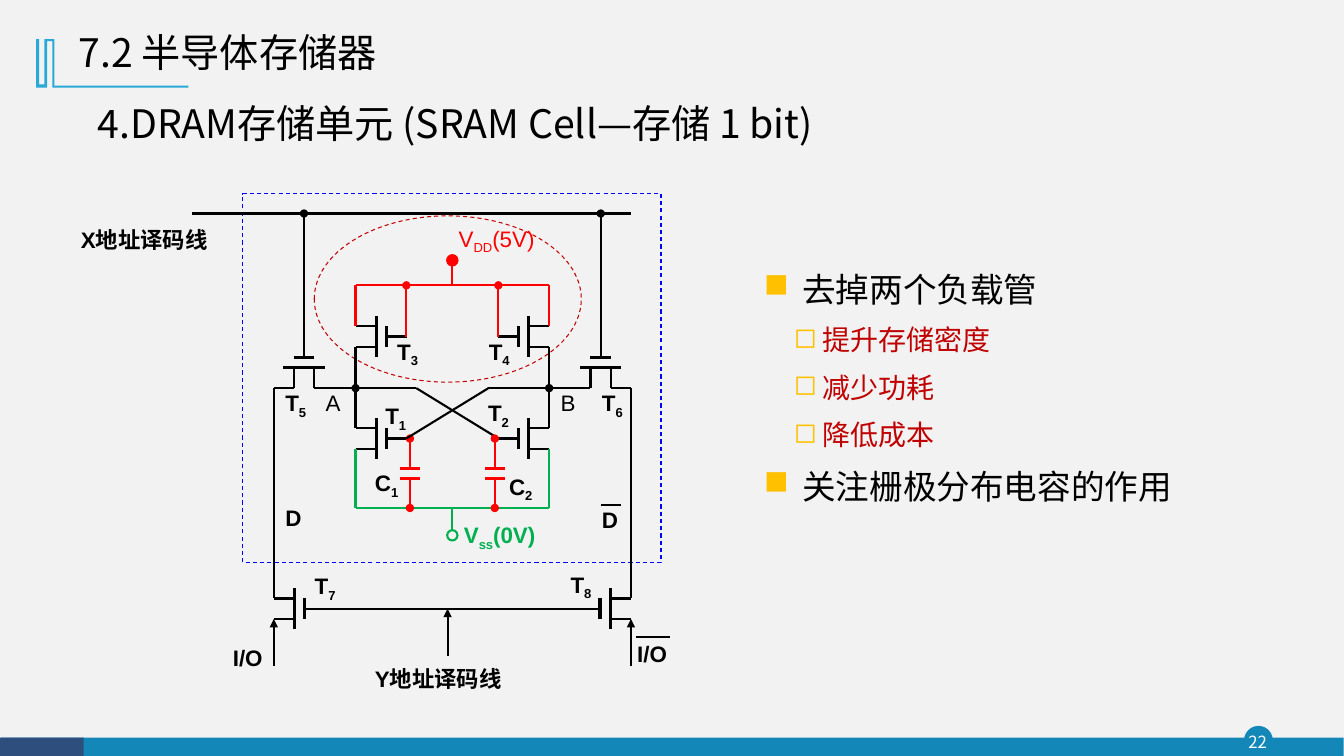
from dataclasses import dataclass

from lxml.etree import SubElement
from pptx import Presentation
from pptx.dml.color import RGBColor
from pptx.enum.dml import MSO_LINE
from pptx.enum.shapes import MSO_CONNECTOR, MSO_SHAPE
from pptx.enum.text import MSO_ANCHOR, PP_ALIGN
from pptx.oxml.ns import qn
from pptx.util import Cm, Pt


@dataclass(frozen=True)
class Theme:
    """Colours, fonts and sizes of the slide."""
    page: str = "F2F2F2"
    bar: str = "1387B7"
    navy: str = "2E4E7E"
    accent: str = "28A9D6"
    black: str = "000000"
    white: str = "FFFFFF"
    blue: str = "0000FF"
    red: str = "FF0000"
    dark_red: str = "C00000"
    green: str = "00B050"
    amber: str = "FFC000"
    latin: str = "Arial"
    cjk: str = "Noto Sans CJK SC"
    cjk_alt: str = "Noto Sans CJK JP"
    title: int = 28
    body: int = 24
    sub: int = 20
    label: int = 16
    number: int = 12
    thin: float = 0.75
    wire: float = 1.5
    plate: float = 2.25


T = Theme()
MID, INNER, OUTER, PASS, GATE, CAP, CROSS = 11.4, 2.44, 4.5, 3.74, 1.16, 1.07, 0.91
X_LINE, VDD, LOAD, NODE, DRIVE, VSS, Y_LINE = 5.38, 7.19, 8.48, 9.78, 11.05, 12.8, 15.34
STEP = 0.26
LABELS = [
    ("T", "1", 9.68, 10.11), ("T", "2", 12.27, 10.03), ("T", "3", 9.98, 8.48),
    ("T", "4", 12.29, 8.48), ("T", "5", 7.16, 9.78), ("T", "6", 15.14, 9.78),
    ("T", "7", 7.9, 14.4), ("T", "8", 14.35, 14.35), ("C", "1", 9.42, 11.79),
    ("C", "2", 12.8, 11.89), ("D", "", 7.16, 12.67), ("D", "", 15.14, 12.73),
    ("I/O", "", 5.84, 16.21), ("I/O", "", 16.03, 16.1),
    ("X地址译码线", "", 2.01, 5.66), ("Y地址译码线", "", 9.42, 16.74),
]


def rgb(value):
    """Turn a hex string into a colour."""
    return RGBColor.from_string(value)


def paint(sp, fill=None, line=None, width=T.wire, dash=None):
    """Set fill and outline of a shape."""
    sp.shadow.inherit = False
    if fill:
        sp.fill.solid()
        sp.fill.fore_color.rgb = rgb(fill)
    else:
        sp.fill.background()
    if line:
        sp.line.color.rgb = rgb(line)
        sp.line.width = Pt(width)
        sp.line.dash_style = dash
    else:
        sp.line.fill.background()


def add_box(s, kind, x, y, w, h, **style):
    """Add a preset shape."""
    paint(s.shapes.add_shape(kind, Cm(x), Cm(y), Cm(w), Cm(h)), **style)


def add_wire(s, x1, y1, x2, y2, color=T.black, width=T.wire, head=None, tail=None):
    """Add a straight line with optional end marks."""
    c = s.shapes.add_connector(MSO_CONNECTOR.STRAIGHT, Cm(x1), Cm(y1), Cm(x2), Cm(y2))
    c.line.color.rgb = rgb(color)
    c.line.width = Pt(width)
    ln = c.line._get_or_add_ln()
    for tag, mark in (("a:headEnd", head), ("a:tailEnd", tail)):
        if mark:
            SubElement(ln, qn(tag), type=mark)
    SubElement(c._element.spPr, qn("a:effectLst"))


def add_run(p, text, size, color=T.black, font=T.latin, ea=T.cjk, bold=False, base=0):
    """Add a formatted run."""
    r = p.add_run()
    r.text = text
    r.font.color.rgb = rgb(color)
    for name, value in {"size": Pt(size), "bold": bold, "name": font}.items():
        setattr(r.font, name, value)
    rPr = r._r.get_or_add_rPr()
    SubElement(rPr, qn("a:ea"), typeface=ea)
    if base:
        rPr.set("baseline", str(base * 1000))


def add_text(s, x, y, w, h, inset=None, **frame):
    """Add a text box and return its frame."""
    tf = s.shapes.add_textbox(Cm(x), Cm(y), Cm(w), Cm(h)).text_frame
    for name, value in {"word_wrap": True, **frame}.items():
        setattr(tf, name, value)
    if inset is not None:
        for side in ("left", "top", "right", "bottom"):
            setattr(tf, f"margin_{side}", Cm(inset))
    return tf


def add_label(s, text, sub, x, y, end="", color=T.black, bold=True):
    """Add a circuit label with an optional subscript."""
    width = 4.11 if len(text) > 3 else 2.44 if end else 1.25
    p = add_text(s, x, y, width, 1.02, inset=0.03).paragraphs[0]
    p.alignment = PP_ALIGN.JUSTIFY
    for part, base in ((text, 0), (sub, -25), (end, 0)):
        if part:
            add_run(p, part, T.label, color, bold=bold, base=base)


def add_bullet(p, text, char, indent, hang, size, color):
    """Fill a paragraph of the bulleted list."""
    p.line_spacing = 1.2
    pPr = p._p.get_or_add_pPr()
    for name, value in {"marL": Cm(indent), "indent": Cm(-hang)}.items():
        pPr.set(name, str(value))
    SubElement(SubElement(pPr, qn("a:buClr")), qn("a:srgbClr"), val=T.amber)
    SubElement(pPr, qn("a:buChar"), char=char)
    add_run(p, text, size, color)


def add_transistor(s, x, y, way):
    """Add a transistor with terminals at x and its gate towards way."""
    bar, plate, end = (x + way * k * STEP for k in (2, 3, 5))
    add_wire(s, bar, y - 2 * STEP, bar, y + 2 * STEP, width=T.plate)
    add_wire(s, plate, y - STEP, plate, y + STEP, width=T.plate)
    for level in (y - STEP, y + STEP):
        add_wire(s, x, level, bar, level)
    add_wire(s, plate, y, end, y)


def add_pass_transistor(s, x):
    """Add a transistor whose gate hangs from the X line."""
    bar, plate = NODE - 2 * STEP, NODE - 3 * STEP
    add_wire(s, x - 2 * STEP, bar, x + 2 * STEP, bar, width=T.plate)
    add_wire(s, x - STEP, plate, x + STEP, plate, width=T.plate)
    for leg in (x - STEP, x + STEP):
        add_wire(s, leg, bar, leg, NODE)
    add_wire(s, x, X_LINE, x, plate, head="oval")


def add_capacitor(s, x):
    """Add a gate capacitor down to the VSS rail."""
    for y in (11.8, 12.05):
        add_wire(s, x - STEP, y, x + STEP, y, T.red, T.plate)
    add_wire(s, x, DRIVE, x, 11.8, T.red, head="oval")
    add_wire(s, x, 12.05, x, VSS, T.red, tail="oval")


def add_half_cell(s, way):
    """Add one half of the cell; way points to the centre."""
    inner, outer, access, gate, cap, cross = (
        MID - way * d for d in (INNER, OUTER, PASS, GATE, CAP, CROSS))
    for y in (LOAD, DRIVE):
        add_transistor(s, inner, y, way)
    add_transistor(s, outer, Y_LINE, way)
    add_pass_transistor(s, access)
    add_capacitor(s, cap)
    add_wire(s, inner, VDD, inner, LOAD - STEP, T.red)
    add_wire(s, gate, VDD, gate, LOAD, T.red, head="oval")
    add_wire(s, inner, LOAD + STEP, inner, DRIVE - STEP)
    add_wire(s, inner, DRIVE + STEP, inner, VSS, T.green)
    add_wire(s, inner, NODE, access + way * STEP, NODE, head="oval")
    add_wire(s, inner, NODE, cross, NODE)
    add_wire(s, cross, NODE, MID + way * GATE, DRIVE)
    add_wire(s, access - way * STEP, NODE, outer, NODE)
    add_wire(s, outer, NODE, outer, Y_LINE - STEP)
    add_wire(s, outer, Y_LINE + STEP, outer, 16.79, head="triangle")


def add_circuit(s):
    """Add the whole memory cell diagram."""
    add_box(s, MSO_SHAPE.RECTANGLE, 6.12, 4.88, 10.54, 9.3,
            line=T.blue, width=T.thin, dash=MSO_LINE.DASH)
    add_box(s, MSO_SHAPE.OVAL, 7.92, 5.44, 6.73, 4.19,
            line=T.dark_red, width=T.thin, dash=MSO_LINE.DASH)
    add_wire(s, 4.85, X_LINE, MID + OUTER, X_LINE)
    add_wire(s, MID - INNER, VDD, MID + INNER, VDD, T.red)
    add_wire(s, MID - INNER, VSS, MID + INNER, VSS, T.green)
    add_wire(s, MID - PASS, Y_LINE, MID + PASS, Y_LINE)
    add_wire(s, 11.28, Y_LINE, 11.28, 16.54, head="triangle")
    for way in (1, -1):
        add_half_cell(s, way)
    add_wire(s, MID, VDD, MID, 6.68, T.red)
    add_box(s, MSO_SHAPE.OVAL, 11.27, 6.43, 0.26, 0.26, fill=T.red, line=T.red)
    add_wire(s, MID, VSS, MID, 13.36, T.green)
    add_box(s, MSO_SHAPE.OVAL, 11.27, 13.36, 0.26, 0.26, line=T.green)
    for label in LABELS:
        add_label(s, *label)
    for name, x in (("A", 8.18), ("B", 14.1)):
        add_label(s, name, "", x, NODE, bold=False)
    add_label(s, "V", "DD", 11.53, 5.64, "(5V)", T.red, False)
    add_label(s, "V", "ss", 11.66, 13.11, "(0V)", T.green)
    add_wire(s, 15.14, 12.73, 15.65, 12.73)
    add_wire(s, 16.03, 16.05, 16.89, 16.05)


def add_frame(s):
    """Add the footer, page number and title ornament."""
    add_box(s, MSO_SHAPE.OVAL, 31.37, 18.31, 0.69, 0.69, fill=T.bar, line=T.bar, width=1)
    add_box(s, MSO_SHAPE.RECTANGLE, 0.03, 18.59, 33.83, 0.46, fill=T.bar)
    add_box(s, MSO_SHAPE.RECTANGLE, 0, 18.59, 2.11, 0.46, fill=T.navy)
    p = add_text(s, 31.29, 18.31, 0.81, 0.79, 0, vertical_anchor=MSO_ANCHOR.MIDDLE).paragraphs[0]
    p.alignment = PP_ALIGN.CENTER
    add_run(p, "22", T.number, T.white, T.cjk)
    points = [(1.37, 0.99), (1.37, 2.16), (4.75, 2.16), (4.75, 2.21), (1.32, 2.21),
              (1.32, 1.04), (1.19, 1.04), (1.19, 2.21), (0.91, 2.21), (0.91, 0.99),
              (0.99, 0.99), (0.99, 2.13), (1.12, 2.13), (1.12, 0.99)]
    start, *rest = [(Cm(x), Cm(y)) for x, y in points]
    fb = s.shapes.build_freeform(*start)
    fb.add_line_segments(rest, close=True)
    paint(fb.convert_to_shape(), fill=T.accent)


def add_notes_list(s):
    """Add the bulleted list on the right."""
    tf = add_text(s, 19, 6.45, 11.07, 8.1)
    top = ("■", 0.97, 0.97, T.body, T.black)
    sub = ("◻", 1.47, 0.71, T.sub, T.dark_red)
    items = [("去掉两个负载管", top), ("提升存储密度", sub), ("减少功耗", sub),
             ("降低成本", sub), ("关注栅极分布电容的作用", top)]
    for i, (text, style) in enumerate(items):
        p = tf.add_paragraph() if i else tf.paragraphs[0]
        p.space_before = Pt(5 if i else 0)
        p.level = int(style is sub)
        add_bullet(p, text, *style)


def main():
    """Build and save the slide."""
    prs = Presentation()
    prs.slide_width, prs.slide_height = Cm(33.87), Cm(19.05)
    s = prs.slides.add_slide(prs.slide_layouts[6])
    s.background.fill.solid()
    s.background.fill.fore_color.rgb = rgb(T.page)
    add_frame(s)
    p = add_text(s, 1.73, 0.51, 11.25, 1.73, vertical_anchor=MSO_ANCHOR.MIDDLE).paragraphs[0]
    p.line_spacing = 0.9
    add_run(p, "7.2 半导体存储器", T.title, font=T.cjk)
    p = add_text(s, 2.21, 2.39, 19.53, 1.45).paragraphs[0]
    add_run(p, "4.DRAM存储单元 (SRAM Cell—存储 1 bit)", T.title, font=T.cjk_alt, ea=T.cjk_alt)
    add_circuit(s)
    add_notes_list(s)
    prs.save("out.pptx")


if __name__ == "__main__":
    main()
